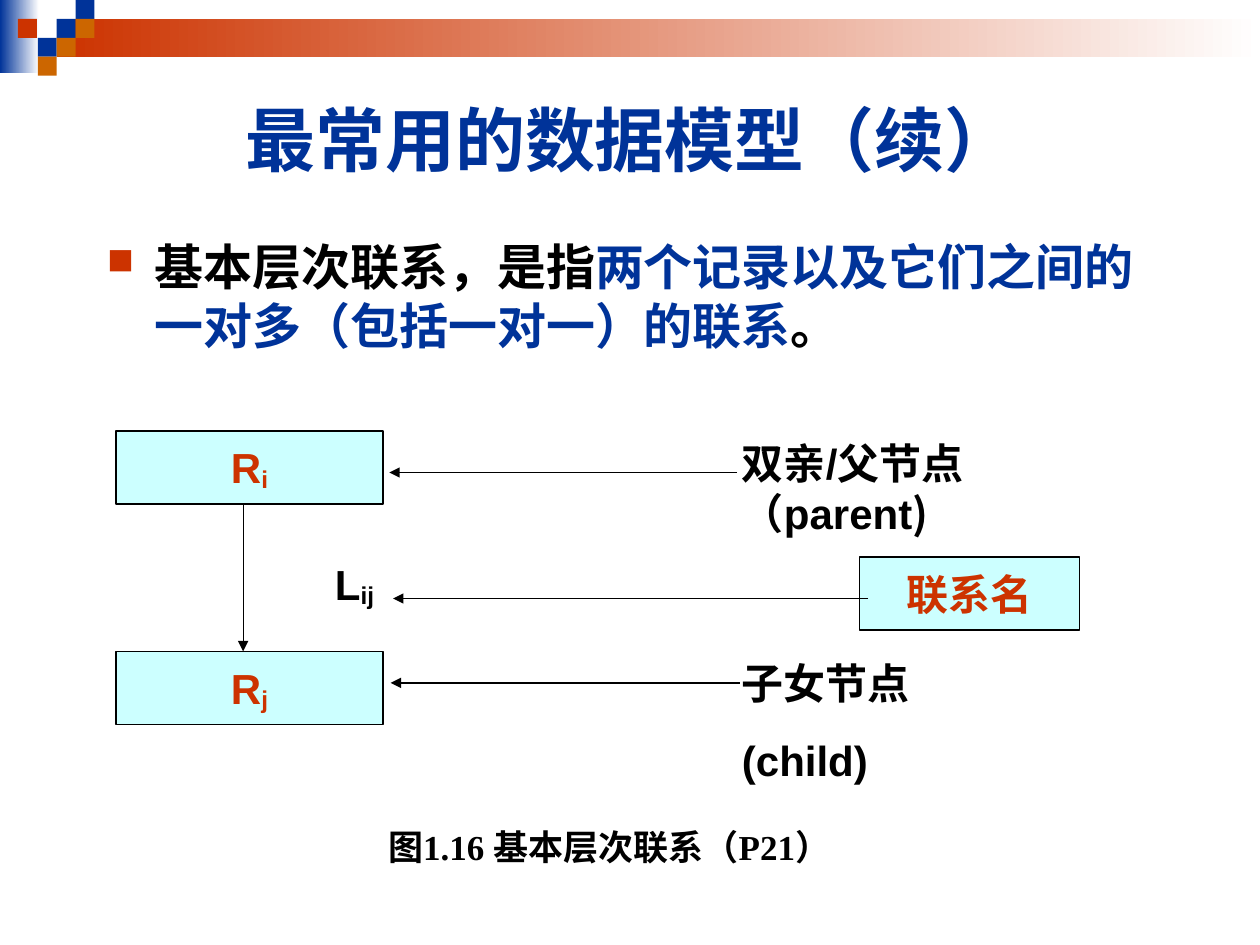
"""Build the slide on the basic hierarchical relationship between two records."""
from lxml import etree
from pptx import Presentation
from pptx import util as u
from pptx.dml.color import RGBColor
from pptx.enum import shapes, text
from pptx.oxml import ns

BLUE = RGBColor(0x00, 0x33, 0x99)
RED = RGBColor(0xCC, 0x33, 0x00)
ORANGE = RGBColor(0xCC, 0x66, 0x00)
AQUA = RGBColor(0xCC, 0xFF, 0xFF)
BLACK = RGBColor(0x00, 0x00, 0x00)
WHITE = RGBColor(0xFF, 0xFF, 0xFF)
SANS, CJK, SERIF = "Arial", "Noto Sans CJK SC", "Times New Roman"
CENTER = text.PP_ALIGN.CENTER
MIDDLE = text.MSO_ANCHOR.MIDDLE


def add_xml(parent, tag, **attributes):
    """Append a drawing element to its parent."""
    return etree.SubElement(parent, ns.qn(tag), attributes)


class SlideBuilder:
    """Hold the slide and its style, and draw each kind of element."""

    def __init__(self, slide):
        self.slide = slide

    def add_runs(self, paragraph, parts, size, color, align=None):
        """Add bold runs given as (wording, font, color, baseline) with defaults."""
        paragraph.alignment = align
        for part in parts:
            wording, font, tint, baseline = (*part, *(SANS, color, 0)[len(part) - 1:])
            run = paragraph.add_run()
            run.text = wording
            run.font.size = u.Pt(size)
            run.font.bold = True
            run.font.name = font
            run.font.color.rgb = tint
            properties = run.font._element
            add_xml(properties, "a:ea", typeface=CJK)
            if baseline:
                properties.set("baseline", str(baseline * 1000))

    def block(self, left, top, width, height, color, fade=False):
        """Draw a borderless rectangle, solid or fading to white."""
        block = self.slide.shapes.add_shape(
            shapes.MSO_SHAPE.RECTANGLE, *map(u.Inches, (left, top, width, height)))
        block.shadow.inherit = False
        block.line.fill.background()
        if fade:
            block.fill.gradient()
            block.fill.gradient_angle = 0
            for stop, tint in zip(block.fill.gradient_stops, (color, WHITE)):
                stop.color.rgb = tint
        else:
            block.fill.solid()
            block.fill.fore_color.rgb = color
        return block

    def record(self, left, top, width, parts):
        """Draw an outlined diagram box with a centred label."""
        record = self.block(left, top, width, 0.58, AQUA)
        record.line.color.rgb = BLACK
        record.line.width = u.Pt(0.75)
        record.text_frame.word_wrap = False
        record.text_frame.vertical_anchor = MIDDLE
        self.add_runs(record.text_frame.paragraphs[0], parts, 24, RED, CENTER)

    def label(self, left, top, width, height, lines, size=24, color=BLACK,
              align=None, anchor=text.MSO_ANCHOR.TOP):
        """Draw a wrapped text box and return its first paragraph."""
        frame = self.slide.shapes.add_textbox(
            *map(u.Inches, (left, top, width, height))).text_frame
        frame.word_wrap = True
        frame.vertical_anchor = anchor
        for index, parts in enumerate(lines):
            paragraph = frame.add_paragraph() if index else frame.paragraphs[0]
            if index:
                paragraph.space_before = u.Pt(15)
            self.add_runs(paragraph, parts, size, color, align)
        return frame.paragraphs[0]

    def bullet(self, paragraph, indent):
        """Give a paragraph a hanging square bullet."""
        properties = paragraph._p.get_or_add_pPr()
        properties.set("marL", str(u.Inches(indent)))
        properties.set("indent", str(-u.Inches(indent)))
        add_xml(add_xml(properties, "a:buClr"), "a:srgbClr", val=str(RED))
        add_xml(properties, "a:buSzPct", val="75000")
        add_xml(properties, "a:buChar", char="■")

    def arrow(self, *ends):
        """Draw a straight line with an arrowhead at its end."""
        arrow = self.slide.shapes.add_connector(
            shapes.MSO_CONNECTOR.STRAIGHT, *map(u.Inches, ends))
        arrow.line.color.rgb = BLACK
        arrow.line.width = u.Pt(0.75)
        add_xml(arrow.line._get_or_add_ln(), "a:tailEnd", type="triangle")
        add_xml(arrow._element.spPr, "a:effectLst")


def main():
    """Assemble and save the slide."""
    deck = Presentation()
    deck.slide_width, deck.slide_height = u.Inches(10), u.Inches(7.5)
    page = SlideBuilder(deck.slides.add_slide(deck.slide_layouts[6]))

    page.block(0, 0, 0.31, 0.58, BLUE, fade=True)
    page.block(0.45, 0.15, 9.55, 0.3, RED, fade=True)
    tile = 0.15
    for column, row, color in ((3, 1, BLUE), (4, 0, BLUE), (4, 1, ORANGE), (2, 2, BLUE),
                               (0.95, 1, RED), (3, 2, ORANGE), (2, 3, ORANGE)):
        page.block(column * tile, row * tile, tile, tile, color)

    page.label(0.5, 0.5, 9, 1.2, [[("最常用的数据模型（续）",)]], 40, BLUE, CENTER, MIDDLE)
    definition = page.label(0.75, 1.83, 8.5, 1.25, [[
        ("基本层次联系，是指", CJK),
        ("两个记录以及它们之间的一对多（包括一对一）的联系", SANS, BLUE),
        ("。", CJK)]], 28)
    page.bullet(definition, 0.38)

    parent_top, child_top = 3.42, 5.17
    page.arrow(5.85, 3.75, 3.09, 3.75)
    page.label(5.79, parent_top, 2.12, 0.9, [[("双亲/父节点（parent",), (")", CJK)]])
    page.arrow(5.87, 5.42, 3.1, 5.42)
    page.label(5.79, child_top, 1.75, 1.11, [[("子女节点",)], [("(child)",)]])
    page.record(6.82, 4.42, 1.75, [("联系名",)])
    page.arrow(6.89, 4.75, 3.12, 4.75)

    for top, subscript in ((parent_top, "i"), (child_top, "j")):
        page.record(0.92, top, 2.12, [("R",), (subscript, SANS, RED, -10)])
    page.arrow(1.93, 4, 1.93, child_top)
    page.label(2.56, 4.38, 0.64, 0.51, [[("L",), ("ij", SANS, BLACK, -10)]])
    page.label(2.67, 6.5, 4.33, 0.44, [[
        ("图", CJK), ("1.16 ", SERIF), ("基本层次联系（", CJK),
        ("P21", SERIF), ("）", CJK)]], 20, align=CENTER)

    deck.save("out.pptx")


if __name__ == "__main__":
    main()
